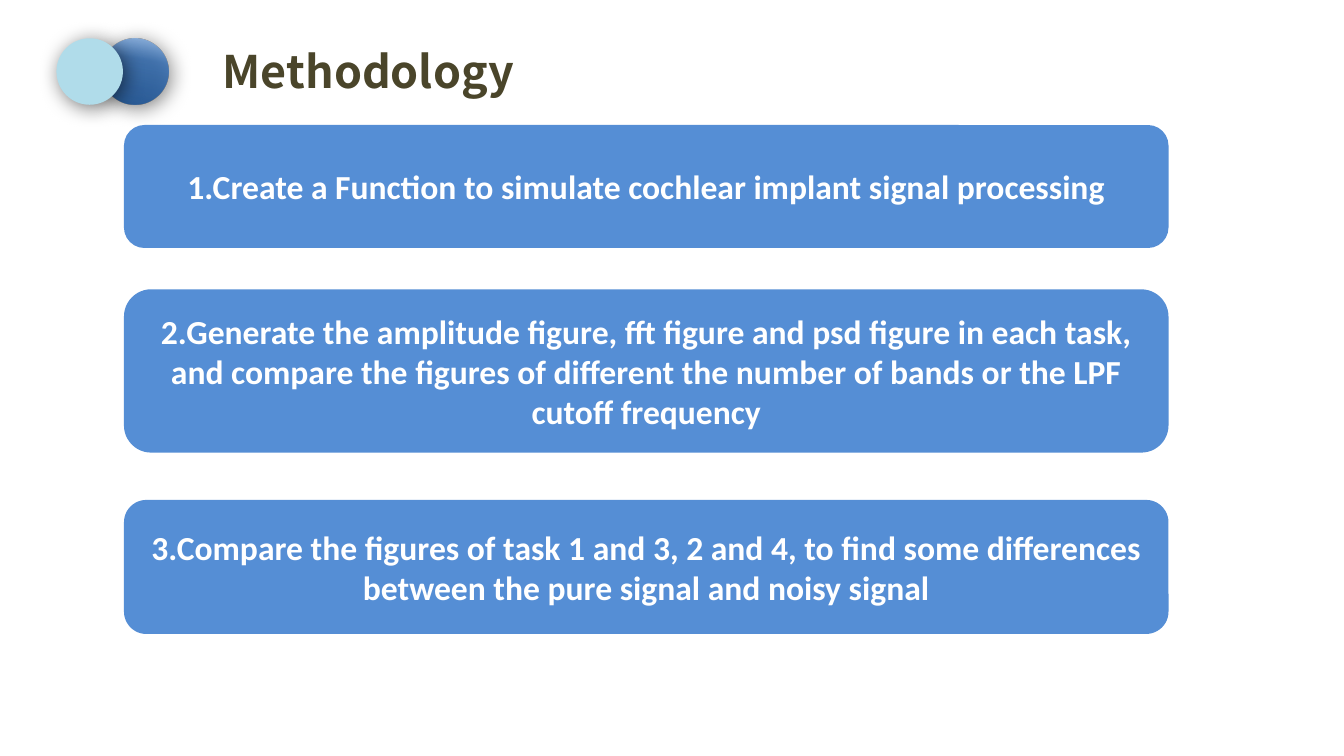
from lxml import etree
from pptx import Presentation, util as u
from pptx.dml.color import RGBColor
from pptx.enum import shapes, text
from pptx.oxml import parse_xml
from pptx.oxml.ns import nsdecls

W, H = 13.33, 7.5
TITLE = "Methodology"
STEPS = [
    ("1.Create a Function to simulate cochlear implant signal processing", 1.24, 1.22),
    ("2.Generate the amplitude figure, fft figure and psd figure in each task, "
     "and compare the figures of different the number of bands or the LPF cutoff frequency", 2.87, 1.62),
    ("3.Compare the figures of task 1 and 3, 2 and 4, to find some differences "
     "between the pure signal and noisy signal", 4.96, 1.33),
]
STEP_LEFT, STEP_WIDTH = 1.23, 10.36
DISC_TOP, DISC_SIZE = 0.38, 0.66
BACK_LEFT, FRONT_LEFT = 1.01, 0.56
BACK_STOPS = [(0, "8FB4E1", 90), (33, "306BB2", 81), (100, "275791", 100)]
BACK_ANGLE = 100
STEP_FILL, DISC_FILL = "558ED5", "B0DCEA"


def color(value):
    return RGBColor.from_string(value)


def write(sp, content, size, font, ink):
    tf = sp.text_frame
    tf.word_wrap = True
    tf.vertical_anchor = text.MSO_ANCHOR.MIDDLE
    p = tf.paragraphs[0]
    p.alignment = text.PP_ALIGN.CENTER
    r = p.add_run()
    r.text = content
    r.font.size, r.font.name, r.font.bold = u.Pt(size), font, True
    r.font.color.rgb = color(ink)


def add_shape(kind, left, top, width, height, fill):
    sp = s.shapes.add_shape(kind, *map(u.Inches, (left, top, width, height)))
    sp.shadow.inherit = False
    sp.fill.solid()
    sp.fill.fore_color.rgb = color(fill)
    sp.line.fill.background()
    return sp


def add_disc(left, fill):
    sp = add_shape(shapes.MSO_SHAPE.OVAL, left, DISC_TOP, DISC_SIZE, DISC_SIZE, fill)
    effects = sp._element.spPr.find("{*}effectLst")
    effects.append(parse_xml(
        f'<a:outerShdw {nsdecls("a")} blurRad="{u.Pt(15)}" dist="{u.Pt(3)}" dir="{45 * 60000}" '
        'algn="ctr" rotWithShape="0"><a:srgbClr val="000000"><a:alpha val="55000"/>'
        '</a:srgbClr></a:outerShdw>'))
    return sp


def set_gradient(sp, stops, angle):
    sp.fill.gradient()
    grad = sp._element.spPr.find("{*}gradFill")
    marks = "".join(
        f'<a:gs pos="{pos * 1000}"><a:srgbClr val="{rgb}"><a:alpha val="{alpha * 1000}"/>'
        '</a:srgbClr></a:gs>' for pos, rgb, alpha in stops)
    grad.getparent().replace(grad, parse_xml(
        f'<a:gradFill {nsdecls("a")} rotWithShape="1"><a:gsLst>{marks}</a:gsLst>'
        f'<a:lin ang="{angle * 60000}" scaled="0"/></a:gradFill>'))


prs = Presentation()
prs.slide_width, prs.slide_height = u.Inches(W), u.Inches(H)
s = prs.slides.add_slide(prs.slide_layouts[5])

title = s.shapes.title
title.left, title.top, title.width, title.height = map(u.Inches, (1.6, 0.38, 4.11, 0.64))
write(title, TITLE, 32, "Noto Sans CJK SC", "4A452A")
title.text_frame.auto_size = text.MSO_AUTO_SIZE.SHAPE_TO_FIT_TEXT
title_font = title.text_frame.paragraphs[0].runs[0].font
etree.SubElement(title_font._element, "{http://schemas.openxmlformats.org/drawingml/2006/main}ea",
                 typeface="Noto Sans CJK SC")

set_gradient(add_disc(BACK_LEFT, DISC_FILL), BACK_STOPS, BACK_ANGLE)
add_disc(FRONT_LEFT, DISC_FILL)

for content, top, height in STEPS:
    box = add_shape(shapes.MSO_SHAPE.ROUNDED_RECTANGLE, STEP_LEFT, top, STEP_WIDTH, height, STEP_FILL)
    write(box, content, 24, "Calibri", "FFFFFF")

prs.save("out.pptx")
